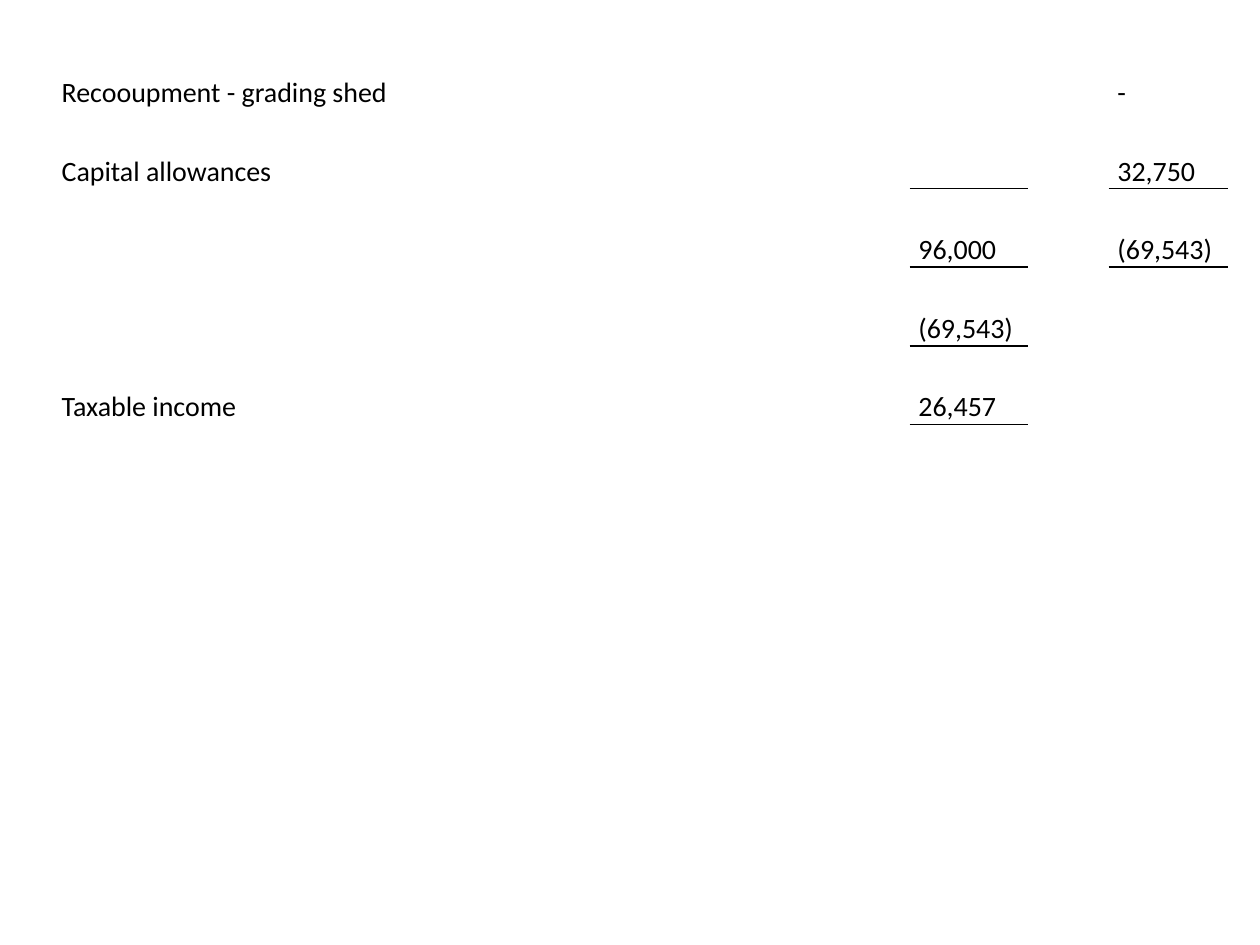
from lxml import etree
from pptx import Presentation
from pptx.dml.color import RGBColor
from pptx.enum.text import MSO_ANCHOR
from pptx.oxml.ns import qn
from pptx.util import Inches, Pt

COLORS = {"text": "000000", "rule": "000000"}
NO_STYLE = "{2D5ABB26-0587-4C30-8999-92F81FD0307C}"
COL_WIDTHS = [3.4, 0.95, 0.81, 0.82, 0.82, 0.94, 0.64, 0.95]
HEIGHT = 3.12
LABEL, TOTAL, DETAIL = 0, 5, 7

ROWS = [
    {LABEL: "Recooupment - grading shed", DETAIL: "-"},
    {LABEL: "Capital allowances", DETAIL: "32,750"},
    {TOTAL: "96,000", DETAIL: "(69,543)"},
    {TOTAL: "(69,543)"},
    {LABEL: "Taxable income", TOTAL: "26,457"},
]
# Cells (row, column) with a rule below them
RULED = [(1, TOTAL), (1, DETAIL), (3, TOTAL), (4, TOTAL)]


def add_rule(cell, tag):
    """Draw a 1 pt rule on one side of a cell."""
    tcPr = cell._tc.get_or_add_tcPr()
    ln = etree.Element(qn(tag), w=str(Pt(1)))
    fill = etree.SubElement(ln, qn("a:solidFill"))
    etree.SubElement(fill, qn("a:srgbClr"), val=COLORS["rule"])
    tcPr.insert(0, ln)


prs = Presentation()
prs.slide_width, prs.slide_height = Inches(10), Inches(7.5)
s = prs.slides.add_slide(prs.slide_layouts[6])

# Table without banding or style
frame = s.shapes.add_table(len(ROWS), len(COL_WIDTHS), Inches(0.42), Inches(0.25),
                           Inches(sum(COL_WIDTHS)), Inches(HEIGHT))
table = frame.table
table.first_row = table.horz_banding = False
table._tbl.tblPr.find(qn("a:tableStyleId")).text = NO_STYLE
for col, width in zip(table.columns, COL_WIDTHS):
    col.width = Inches(width)

# Cell text
for i, row in enumerate(ROWS):
    table.rows[i].height = Inches(HEIGHT / len(ROWS))
    for j in range(len(COL_WIDTHS)):
        cell = table.cell(i, j)
        cell.fill.background()
        cell.vertical_anchor = MSO_ANCHOR.BOTTOM
        cell.margin_left = cell.margin_right = Inches(0.07)
        cell.margin_top = cell.margin_bottom = 0
        if j in row:
            p = cell.text_frame.paragraphs[0]
            p.text = row[j]
            p.line_spacing = 1.15
            font = p.runs[0].font
            font.name, font.size = "Calibri", Pt(16)
            font.color.rgb = RGBColor.from_string(COLORS["text"])

# Rules under the sums, shared with the cell below
for i, j in RULED:
    add_rule(table.cell(i, j), "a:lnB")
for i, j in RULED:
    if i + 1 < len(ROWS):
        add_rule(table.cell(i + 1, j), "a:lnT")

prs.save("out.pptx")
